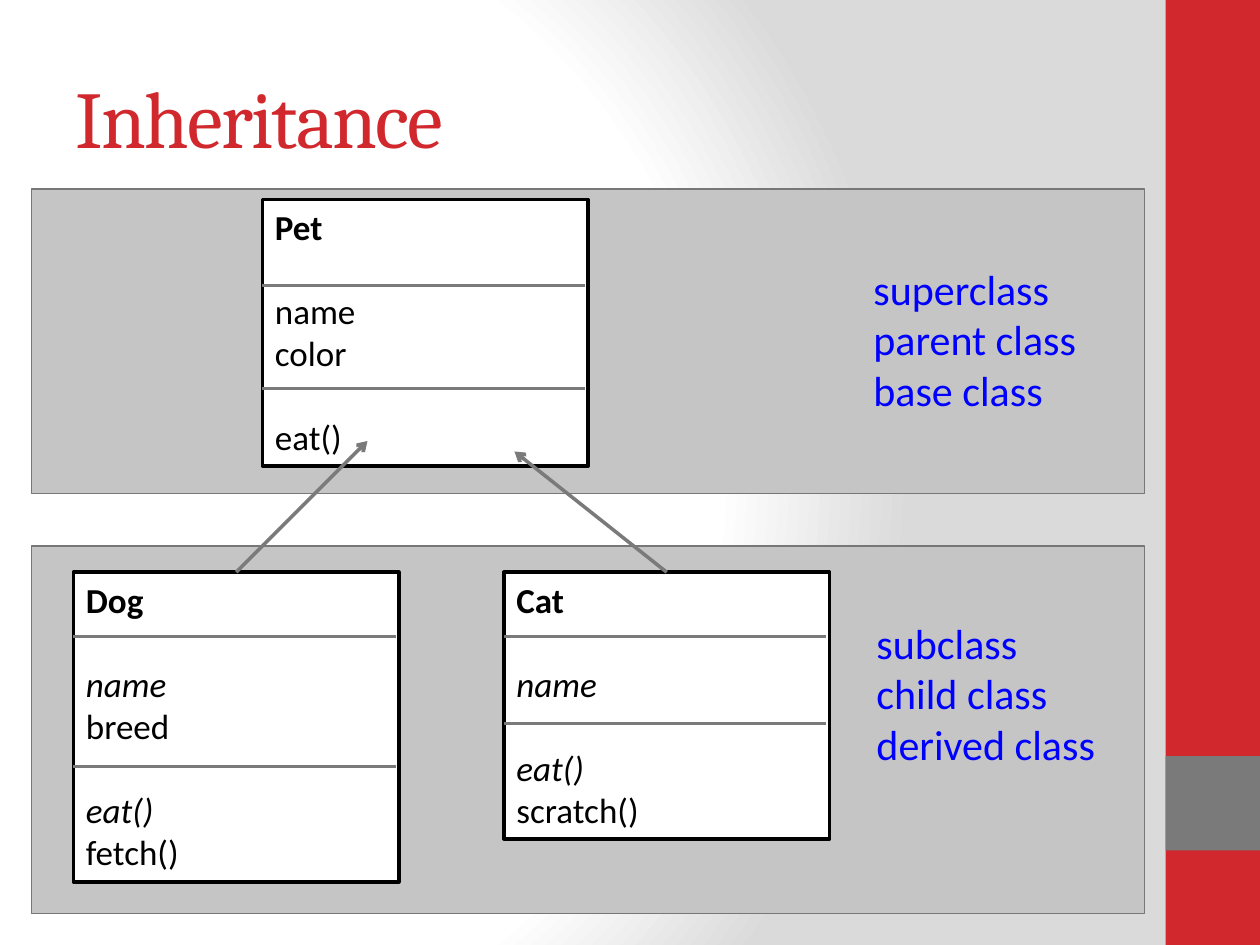
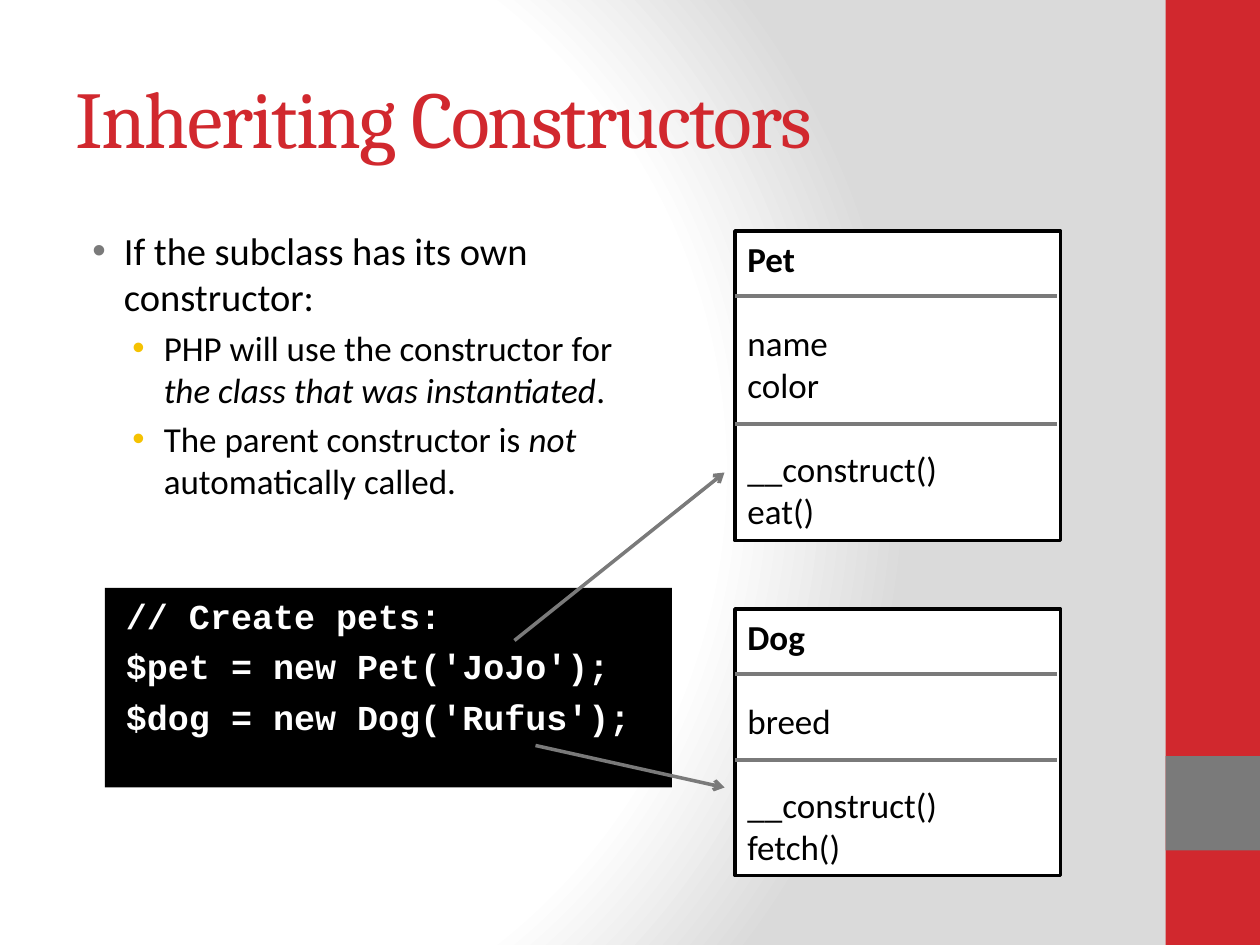
from dataclasses import dataclass

from pptx import Presentation
from pptx.dml.color import RGBColor
from pptx.enum.shapes import MSO_CONNECTOR, MSO_SHAPE
from pptx.enum.text import MSO_ANCHOR, MSO_AUTO_SIZE, PP_ALIGN
from pptx.oxml import parse_xml
from pptx.oxml.ns import nsdecls, qn
from pptx.oxml.xmlchemy import OxmlElement
from pptx.shapes.autoshape import Shape
from pptx.shapes.connector import Connector
from pptx.slide import Slide, SlideMaster
from pptx.util import Emu, Pt

RECTANGLE = MSO_SHAPE.RECTANGLE
STRAIGHT = MSO_CONNECTOR.STRAIGHT
TOP, MIDDLE = MSO_ANCHOR.TOP, MSO_ANCHOR.MIDDLE
LEFT = PP_ALIGN.LEFT
NO_AUTOFIT = MSO_AUTO_SIZE.NONE

RED = RGBColor(0xD1, 0x28, 0x2E)
GRAY = RGBColor(0x7A, 0x7A, 0x7A)
PANEL_FILL = RGBColor(0xC5, 0xC5, 0xC5)
PANEL_EDGE = RGBColor(0x77, 0x77, 0x77)
YELLOW = RGBColor(0xF5, 0xC2, 0x01)
BLUE = RGBColor(0x00, 0x00, 0xFF)
BLACK = RGBColor(0x00, 0x00, 0x00)
WHITE = RGBColor(0xFF, 0xFF, 0xFF)

HEADING_FONT, TEXT_FONT, CODE_FONT = "Cambria", "Calibri", "Courier New"
SLIDE_WIDTH, SLIDE_HEIGHT = 1200, 900
CLASS_WIDTH = 310
DIVIDER_WIDTH = 307
SECTION_GAP = Pt(24)
TOP_SIDE = 0

BACKGROUND = f"""<a:gradFill {nsdecls("a")} rotWithShape="1"><a:gsLst>
<a:gs pos="0"><a:srgbClr val="FFFFFF"/></a:gs>
<a:gs pos="75000"><a:srgbClr val="FFFFFF"/></a:gs>
<a:gs pos="100000"><a:srgbClr val="DADADA"/></a:gs></a:gsLst>
<a:path path="circle"><a:fillToRect l="20000" t="50000" r="100000" b="50000"/></a:path>
</a:gradFill>"""


@dataclass(frozen=True)
class Box:
    left: int
    top: int
    width: int
    height: int

    def emu(self) -> tuple[Emu, ...]:
        return tuple(px(n) for n in (self.left, self.top, self.width, self.height))


@dataclass(frozen=True)
class Member:
    text: str
    inherited: bool = False


@dataclass(frozen=True)
class ClassCard:
    name: str
    left: int
    top: int
    height: int
    dividers: tuple[int, int]  # distances below the top edge
    fields: tuple[Member, ...]
    methods: tuple[Member, ...]


@dataclass(frozen=True)
class Bullet:
    runs: tuple[tuple[str, bool], ...]  # text, italic
    level: int = 0


@dataclass(frozen=True)
class BulletStyle:
    margin: int
    size: int
    color: RGBColor


BULLET_STYLES = (BulletStyle(46, 22, GRAY), BulletStyle(84, 20, YELLOW))
BULLET_HANG = 30

NAME, EAT = Member("name"), Member("eat()")
INHERITED_NAME, INHERITED_EAT = Member("name", True), Member("eat()", True)
CONSTRUCT = Member("__construct()")

PET = ClassCard("Pet", 250, 190, 254, (82, 180), (NAME, Member("color")), (EAT,))
DOG = ClassCard("Dog", 70, 545, 295, (61, 185),
                (INHERITED_NAME, Member("breed")), (INHERITED_EAT, Member("fetch()")))
CAT = ClassCard("Cat", 480, 545, 254, (61, 144),
                (INHERITED_NAME,), (INHERITED_EAT, Member("scratch()")))
BUILT_PET = ClassCard("Pet", 700, 220, 295, (62, 184),
                      (NAME, Member("color")), (CONSTRUCT, EAT))
BUILT_DOG = ClassCard("Dog", 700, 580, 254, (62, 144),
                      (Member("breed"),), (CONSTRUCT, Member("fetch()")))

CONSTRUCTOR_RULES = (
    Bullet((("If the subclass has its own constructor:", False),)),
    Bullet((("PHP will use the constructor for ", False),
            ("the class that was instantiated", True), (".", False)), 1),
    Bullet((("The parent constructor is ", False), ("not ", True),
            ("automatically called.", False)), 1),
)
PET_CODE = ("// Create pets:", "$pet = new Pet('JoJo');", "$dog = new Dog('Rufus');")


def px(length: int) -> Emu:
    return Emu(length * 7620)


def set_font(paragraph, name: str, size: int, color: RGBColor, bold: bool = False) -> None:
    font = paragraph.font
    font.name, font.size, font.bold = name, Pt(size), bold
    font.color.rgb = color


def next_paragraph(frame, index: int):
    paragraph = frame.add_paragraph() if index else frame.paragraphs[0]
    paragraph.alignment = LEFT
    return paragraph


def add_rectangle(slide: Slide, box: Box, fill: RGBColor,
                  edge: RGBColor | None = None, edge_width: int = 1) -> Shape:
    rectangle = slide.shapes.add_shape(RECTANGLE, *box.emu())
    rectangle.shadow.inherit = False
    rectangle.fill.solid()
    rectangle.fill.fore_color.rgb = fill
    if edge is None:
        rectangle.line.fill.background()
    else:
        rectangle.line.color.rgb = edge
        rectangle.line.width = Pt(edge_width)
    rectangle.text_frame.vertical_anchor = TOP
    rectangle.text_frame.word_wrap = True
    return rectangle


def add_line(slide: Slide, start: tuple[int, int], end: tuple[int, int],
             arrow: bool = False) -> Connector:
    line = slide.shapes.add_connector(STRAIGHT, *map(px, start + end))
    line.line.color.rgb = GRAY
    line.line.width = Pt(2)
    properties = line.element.spPr
    if arrow:
        head = OxmlElement("a:tailEnd")
        head.set("type", "arrow")
        properties.find(qn("a:ln")).append(head)
    properties.append(OxmlElement("a:effectLst"))
    return line


def add_class(slide: Slide, card: ClassCard) -> Shape:
    box = Box(card.left, card.top, CLASS_WIDTH, card.height)
    rectangle = add_rectangle(slide, box, WHITE, BLACK, 2)
    section_starts = (1, 1 + len(card.fields))
    for index, member in enumerate((Member(card.name), *card.fields, *card.methods)):
        paragraph = next_paragraph(rectangle.text_frame, index)
        paragraph.text = member.text
        if index in section_starts:
            paragraph.space_before = SECTION_GAP
        set_font(paragraph, TEXT_FONT, 20, BLACK, bold=index == 0)
        paragraph.font.italic = member.inherited
    for offset in card.dividers:
        y = card.top + offset
        add_line(slide, (card.left, y), (card.left + DIVIDER_WIDTH, y))
    return rectangle


def add_terms(slide: Slide, box: Box, terms: tuple[str, ...]) -> None:
    """Add the blue synonyms beside a panel's classes."""
    frame = slide.shapes.add_textbox(*box.emu()).text_frame
    frame.word_wrap = False
    for index, term in enumerate(terms):
        paragraph = next_paragraph(frame, index)
        paragraph.text = term
        set_font(paragraph, TEXT_FONT, 24, BLUE)


def add_code(slide: Slide, box: Box, lines: tuple[str, ...]) -> None:
    frame = add_rectangle(slide, box, BLACK).text_frame
    frame.margin_left = px(20)
    for index, line in enumerate(lines):
        paragraph = next_paragraph(frame, index)
        paragraph.text = line
        if index:
            paragraph.space_before = Pt(5)
        set_font(paragraph, CODE_FONT, 20, WHITE, bold=True)


def place(placeholder, box: Box) -> None:
    placeholder.left, placeholder.top, placeholder.width, placeholder.height = box.emu()
    placeholder.text_frame.auto_size = NO_AUTOFIT


def set_title(slide: Slide, text: str) -> None:
    title = slide.shapes.title
    place(title, Box(60, 36, 1000, 150))
    title.text_frame.vertical_anchor = MIDDLE
    paragraph = next_paragraph(title.text_frame, 0)
    run = paragraph.add_run()
    run.text = text
    run.font.element.set("spc", "-100") if hasattr(run.font, "element") else \
        run._r.get_or_add_rPr().set("spc", "-100")
    set_font(paragraph, HEADING_FONT, 46, RED)


def set_bullet(paragraph, style: BulletStyle) -> None:
    properties = paragraph._p.get_or_add_pPr()
    properties.set("marL", str(px(style.margin)))
    properties.set("indent", str(-px(BULLET_HANG)))
    for xml in (f'<a:buClr {nsdecls("a")}><a:srgbClr val="{style.color}"/></a:buClr>',
                f'<a:buFont {nsdecls("a")} typeface="Arial"/>',
                f'<a:buChar {nsdecls("a")} char="•"/>'):
        properties.append(parse_xml(xml))


def fill_body(slide: Slide, box: Box, bullets: tuple[Bullet, ...]) -> None:
    body = slide.placeholders[1]
    place(body, box)
    for index, bullet in enumerate(bullets):
        style = BULLET_STYLES[bullet.level]
        paragraph = next_paragraph(body.text_frame, index)
        paragraph.level = bullet.level
        set_bullet(paragraph, style)
        paragraph.space_before = Pt(4 if index else 0)
        set_font(paragraph, TEXT_FONT, style.size, BLACK)
        for text, italic in bullet.runs:
            run = paragraph.add_run()
            run.text = text
            run.font.italic = italic


def style_master(master: SlideMaster, slide: Slide) -> None:
    """Give the master its background and side bands, drawn by way of a slide."""
    master.background.fill.solid()
    background = master.element.find(f".//{qn('p:bgPr')}")
    background.replace(background[0], parse_xml(BACKGROUND))
    bands = ((Box(1110, 0, 90, SLIDE_HEIGHT), RED), (Box(1110, 720, 90, 90), GRAY))
    for position, (box, color) in enumerate(bands, start=2):
        band = add_rectangle(slide, box, color)
        master.shapes.element.insert(position, band.element)


def build_inheritance(slide: Slide) -> None:
    set_title(slide, "Inheritance")
    for top, height in ((520, 350), (180, 290)):
        add_rectangle(slide, Box(30, top, 1060, height), PANEL_FILL, PANEL_EDGE)
    add_class(slide, PET)
    add_terms(slide, Box(820, 245, 220, 157), ("superclass", "parent class", "base class"))
    add_terms(slide, Box(823, 582, 235, 157), ("subclass", "child class", "derived class"))
    for card, target in ((DOG, (350, 420)), (CAT, (490, 430))):
        subclass = add_class(slide, card)
        start = (card.left + CLASS_WIDTH // 2, card.top)
        add_line(slide, start, target, arrow=True).begin_connect(subclass, TOP_SIDE)


def build_constructors(slide: Slide) -> None:
    set_title(slide, "Inheriting Constructors")
    fill_body(slide, Box(60, 210, 570, 630), CONSTRUCTOR_RULES)
    for card in (BUILT_PET, BUILT_DOG):
        add_class(slide, card)
    add_code(slide, Box(100, 560, 540, 190), PET_CODE)
    for start, end in (((490, 610), (690, 450)), ((510, 710), (690, 750))):
        add_line(slide, start, end, arrow=True)


def main() -> None:
    presentation = Presentation()
    presentation.slide_width, presentation.slide_height = px(SLIDE_WIDTH), px(SLIDE_HEIGHT)
    content_layout, title_layout = (presentation.slide_layouts[n] for n in (1, 5))
    inheritance = presentation.slides.add_slide(title_layout)
    style_master(presentation.slide_master, inheritance)
    build_inheritance(inheritance)
    build_constructors(presentation.slides.add_slide(content_layout))
    presentation.save("out.pptx")


if __name__ == "__main__":
    main()
